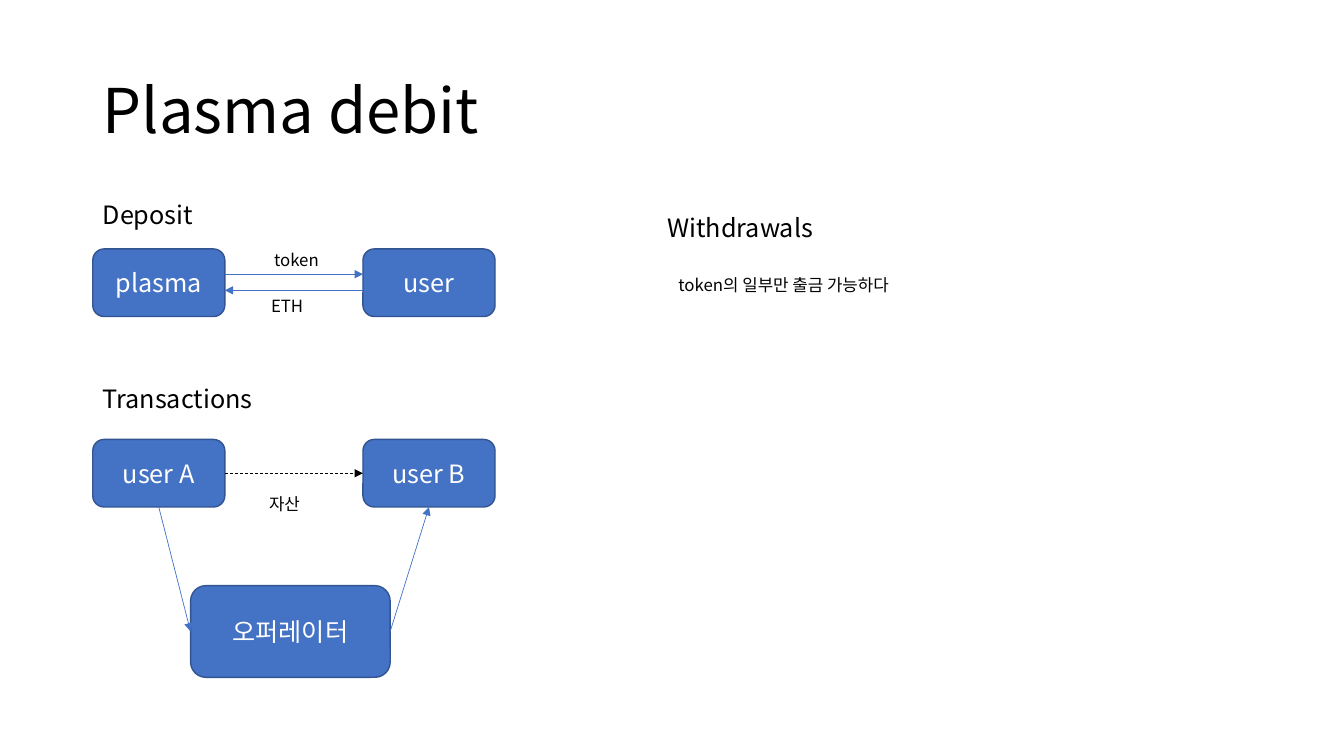
from lxml.etree import SubElement
from pptx import Presentation
from pptx.dml.color import RGBColor
from pptx.enum.dml import MSO_LINE
from pptx.enum.shapes import MSO_CONNECTOR, MSO_SHAPE
from pptx.enum.text import MSO_ANCHOR, MSO_AUTO_SIZE, PP_ALIGN
from pptx.oxml.ns import qn
from pptx.util import Inches, Pt

FONT = "Noto Sans CJK KR"
COLORS = {"box": "4472C4", "border": "325491", "ink": "000000", "paper": "FFFFFF"}
LEFT = 0.92
NODE_W, NODE_H = 1.31, 0.67
NODE_STEP = 2.68
TOP, SIDE_LEFT, BOTTOM, SIDE_RIGHT = range(4)  # connection sites of a node
HEADING = {"size": 18, "height": 0.4}
LABEL = {"size": 12, "height": 0.3}


def color(name):
    return RGBColor.from_string(COLORS[name])


def write(frame, wording, size, ink="ink", frame_format=None, **paragraph_format):
    for key, value in {"word_wrap": True, **(frame_format or {})}.items():
        setattr(frame, key, value)
    paragraph = frame.paragraphs[0]
    for key, value in paragraph_format.items():
        setattr(paragraph, key, value)
    run = paragraph.add_run()
    run.text = wording
    for key, value in {"name": FONT, "size": Pt(size)}.items():
        setattr(run.font, key, value)
    run.font.color.rgb = color(ink)
    SubElement(run.font._element, qn("a:ea"), typeface=FONT)


def add_text(slide, wording, left, top, width, size, height):
    box = slide.shapes.add_textbox(*map(Inches, (left, top, width, height)))
    write(box.text_frame, wording, size,
          frame_format={"auto_size": MSO_AUTO_SIZE.SHAPE_TO_FIT_TEXT})


def add_node(slide, wording, left, top, width=NODE_W, height=NODE_H):
    node = slide.shapes.add_shape(
        MSO_SHAPE.ROUNDED_RECTANGLE, *map(Inches, (left, top, width, height)))
    node.shadow.inherit = False
    node.fill.solid()
    node.fill.fore_color.rgb = color("box")
    node.line.color.rgb = color("border")
    node.line.width = Pt(1)
    write(node.text_frame, wording, 18, "paper",
          {"vertical_anchor": MSO_ANCHOR.MIDDLE}, alignment=PP_ALIGN.CENTER)
    return node


def add_node_pair(slide, names, left, top):
    return [add_node(slide, name, left + i * NODE_STEP, top)
            for i, name in enumerate(names)]


def add_arrow(slide, start=(0, 0), end=(0, 0), ink="box", dash=None):
    arrow = slide.shapes.add_connector(
        MSO_CONNECTOR.STRAIGHT, *map(Inches, (*start, *end)))
    arrow.line.color.rgb = color(ink)
    arrow.line.width = Pt(0.5)
    if dash:
        arrow.line.dash_style = dash
    SubElement(arrow.line._get_or_add_ln(), qn("a:tailEnd"), type="triangle")
    SubElement(arrow._element.spPr, qn("a:effectLst"))
    return arrow


def link(slide, source, source_site, target, target_site, **style):
    arrow = add_arrow(slide, **style)
    arrow.begin_connect(source, source_site)
    arrow.end_connect(target, target_site)


def add_title(slide, left, top, width, height):
    box = slide.shapes.add_textbox(*map(Inches, (left, top, width, height)))
    write(box.text_frame, "Plasma debit", 44,
          frame_format={"vertical_anchor": MSO_ANCHOR.MIDDLE}, line_spacing=0.9)


def add_deposit(slide, left, top):
    add_text(slide, "Deposit", left, top, 1.11, **HEADING)
    nodes_top = top + 0.54
    add_node_pair(slide, ("plasma", "user"), left, nodes_top)
    plasma_edge, user_edge = left + NODE_W, left + NODE_STEP
    token_y, eth_y = nodes_top + 0.25, nodes_top + 0.41
    add_arrow(slide, (plasma_edge, token_y), (user_edge, token_y))
    add_arrow(slide, (user_edge, eth_y), (plasma_edge, eth_y))
    add_text(slide, "token", left + 1.7, token_y - 0.29, 0.7, **LABEL)
    add_text(slide, "ETH", left + 1.67, eth_y, 0.59, **LABEL)


def add_transactions(slide, left, top):
    add_text(slide, "Transactions", left, top, 2.26, **HEADING)
    user_a, user_b = add_node_pair(slide, ("user A", "user B"), left, top + 0.61)
    operator = add_node(slide, "오퍼레이터", left + 0.97, top + 2.06, 1.98, 0.91)
    link(slide, user_a, SIDE_RIGHT, user_b, SIDE_LEFT, ink="ink", dash=MSO_LINE.DASH)
    link(slide, user_a, BOTTOM, operator, SIDE_LEFT)
    link(slide, operator, SIDE_RIGHT, user_b, BOTTOM)
    add_text(slide, "자산", left + 1.65, top + 1.1, 0.74, **LABEL)


def add_withdrawals(slide, left, top):
    add_text(slide, "Withdrawals", left, top, 1.99, **HEADING)
    add_text(slide, "token의 일부만 출금 가능하다", left + 0.11, top + 0.62, 3.66, **LABEL)


def main():
    deck = Presentation()
    deck.slide_width, deck.slide_height = Inches(13.33), Inches(7.5)
    slide = deck.slides.add_slide(deck.slide_layouts[6])
    add_title(slide, LEFT, 0.4, 11.5, 1.45)
    add_deposit(slide, LEFT, 1.93)
    add_transactions(slide, LEFT, 3.75)
    add_withdrawals(slide, 6.52, 2.06)
    deck.save("out.pptx")


if __name__ == "__main__":
    main()
